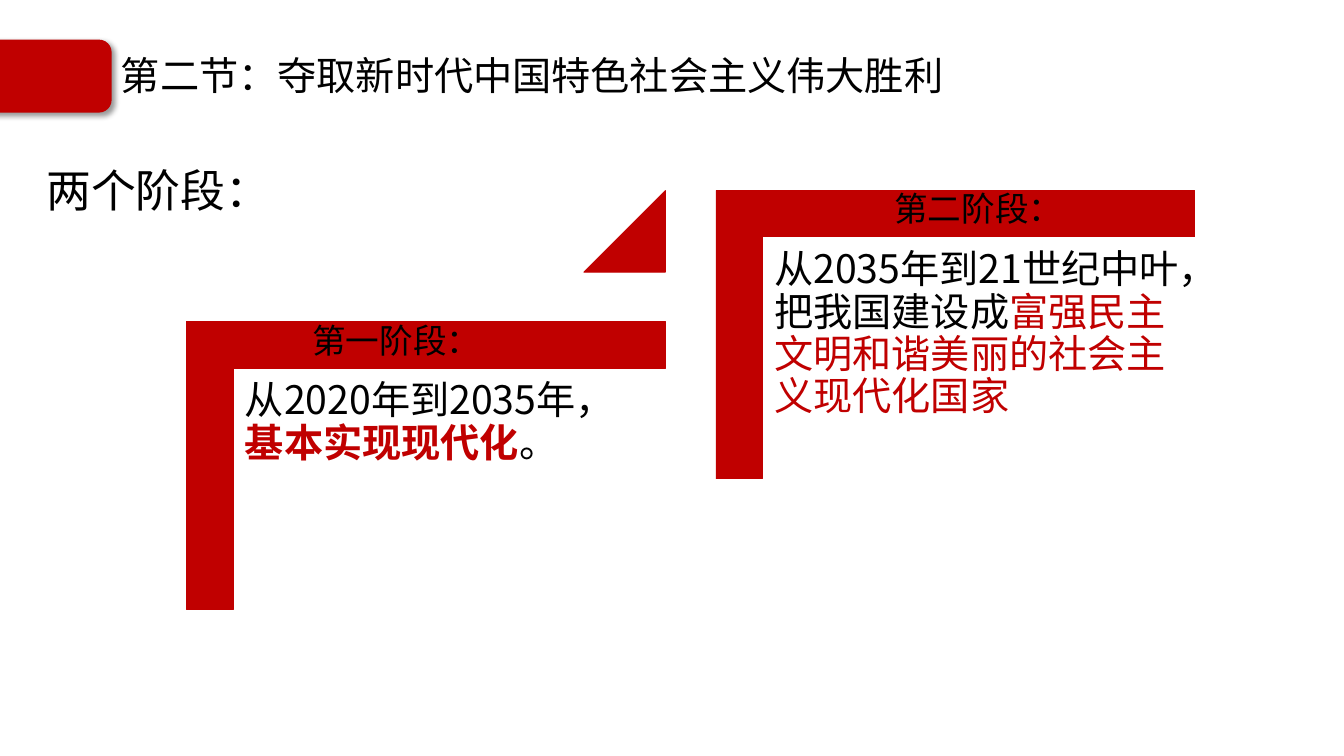
from dataclasses import dataclass

from lxml import etree
from pptx import Presentation
from pptx.dml.color import RGBColor
from pptx.enum.shapes import MSO_SHAPE as SHAPE
from pptx.enum.text import MSO_ANCHOR as ANCHOR, MSO_AUTO_SIZE as AUTO, PP_ALIGN as ALIGN
from pptx.oxml import parse_xml
from pptx.oxml.ns import nsdecls, qn
from pptx.util import Inches, Pt


@dataclass(frozen=True)
class Theme:
    red: RGBColor = RGBColor(0xC0, 0x00, 0x00)
    black: RGBColor = RGBColor(0x00, 0x00, 0x00)
    font: str = "Noto Sans CJK SC"
    heading: int = 32
    text: int = 28
    label: int = 24


THEME = Theme()
STAGE_W, STAGE_H, BAR = 4.75, 2.86, 0.46


def style_run(r, size, color=THEME.black, bold=False):
    r.font.size = Pt(size)
    r.font.name = THEME.font
    r.font.color.rgb = color
    r.font.bold = bold
    etree.SubElement(r._r.get_or_add_rPr(), qn("a:ea"), typeface=THEME.font)


def place(sp, x, y, w, h):
    sp.left, sp.top, sp.width, sp.height = (Inches(v) for v in (x, y, w, h))


def add_red_shape(s, kind, x, y, w, h, line=0.5):
    sp = s.shapes.add_shape(kind, *(Inches(v) for v in (x, y, w, h)))
    sp.shadow.inherit = False
    sp.fill.solid()
    sp.fill.fore_color.rgb = THEME.red
    sp.line.color.rgb = THEME.red
    sp.line.width = Pt(line)
    return sp


def add_text(s, x, y, w, h, parts, size, inset=None, spacing=None):
    """Add a one-paragraph text box; parts are (text, colour, bold)."""
    sp = s.shapes.add_textbox(*(Inches(v) for v in (x, y, w, h)))
    tf = sp.text_frame
    tf.word_wrap = True
    if inset:
        tf.margin_left = tf.margin_right = Inches(inset)
        tf.margin_top = tf.margin_bottom = Inches(inset)
    p = tf.paragraphs[0]
    p.line_spacing = spacing
    for text, color, bold in parts:
        r = p.add_run()
        r.text = text
        style_run(r, size, color, bold)
    return sp


def fill_placeholder(sp, text, size, spacing):
    tf = sp.text_frame
    tf.text = text
    tf.word_wrap = True
    tf.auto_size = AUTO.NONE
    p = tf.paragraphs[0]
    p.alignment = ALIGN.LEFT
    p.line_spacing = spacing
    p.space_before = Pt(0)
    style_run(p.runs[0], size)
    return tf


def add_header(s, x, y, w, h):
    """Place the red tab at the slide's edge and the title beside it."""
    tab = add_red_shape(s, SHAPE.ROUNDED_RECTANGLE, x, y, w, h, line=1)
    effects = tab._element.spPr.find(qn("a:effectLst"))
    effects.append(parse_xml(
        f'<a:outerShdw {nsdecls("a")} blurRad="{Pt(4)}" dist="{Pt(3)}" dir="2700000" '
        'algn="tl" rotWithShape="0"><a:srgbClr val="000000"><a:alpha val="40000"/>'
        '</a:srgbClr></a:outerShdw>'))
    title = s.shapes.title
    place(title, x + w, y + 0.02, 11.5, h)
    tf = fill_placeholder(title, "第二节：夺取新时代中国特色社会主义伟大胜利", THEME.text, 0.9)
    tf.vertical_anchor = ANCHOR.MIDDLE


def add_lead(s, x, y, w, h):
    body = s.placeholders[1]
    place(body, x, y, w, h)
    tf = fill_placeholder(body, "两个阶段：", THEME.heading, 1.5)
    pPr = tf.paragraphs[0]._p.get_or_add_pPr()
    pPr.set("marL", "0")
    pPr.set("indent", "0")
    etree.SubElement(pPr, qn("a:buNone"))


def add_stage(s, x, y, label, label_dx, parts):
    """Place one step: a red angle with its label on the bar and text inside."""
    shift = (STAGE_W - STAGE_H) / 2
    angle = add_red_shape(s, SHAPE.CORNER, x + shift, y - shift, STAGE_H, STAGE_W)
    angle.rotation = 90
    angle.adjustments[0] = angle.adjustments[1] = BAR / STAGE_H
    add_text(s, x + BAR, y + BAR + 0.01, STAGE_W - BAR, 3.76, parts, THEME.text,
             inset=0.12, spacing=0.9)
    tag = add_text(s, x + label_dx, y - 0.07, 1.68, 0.5,
                   [(label, THEME.black, False)], THEME.label)
    tag.text_frame.auto_size = AUTO.SHAPE_TO_FIT_TEXT


def add_step_marker(s, x, y, size):
    marker = add_red_shape(s, SHAPE.ISOSCELES_TRIANGLE, x, y, size, size)
    marker.adjustments[0] = 1


def main():
    prs = Presentation()
    prs.slide_width, prs.slide_height = Inches(13.33), Inches(7.5)
    s = prs.slides.add_slide(prs.slide_layouts[1])
    add_header(s, -0.18, 0.4, 1.28, 0.71)
    add_lead(s, 0.36, 1.3, 12.79, 0.98)
    add_stage(s, 1.85, 3.19, "第一阶段：", 1.15, [
        ("从2020年到2035年，", THEME.black, False),
        ("基本实现现代化", THEME.red, True),
        ("。", THEME.black, False)])
    add_step_marker(s, 5.79, 1.89, 0.81)
    add_stage(s, 7.1, 1.89, "第二阶段：", 1.67, [
        ("从2035年到21世纪中叶，把我国建设成", THEME.black, False),
        ("富强民主文明和谐美丽的社会主义现代化国家", THEME.red, False)])
    prs.save("out.pptx")


if __name__ == "__main__":
    main()
